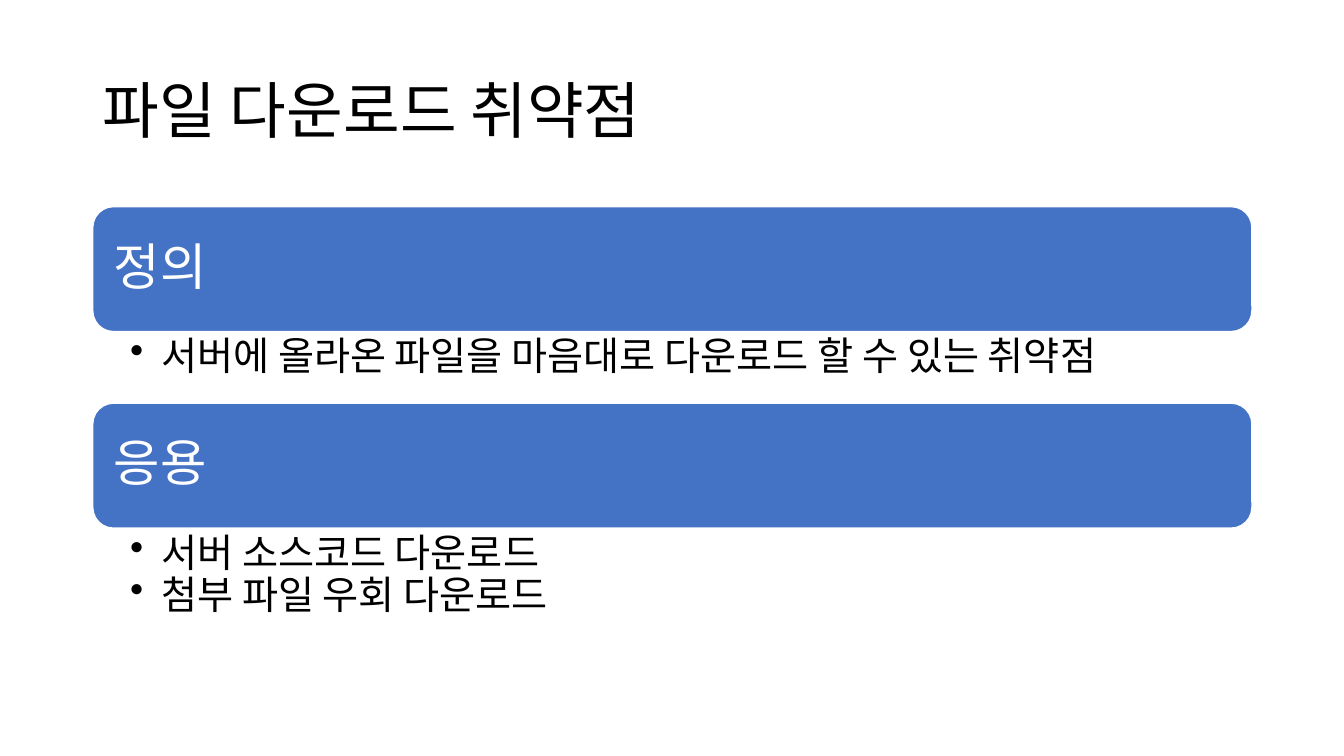
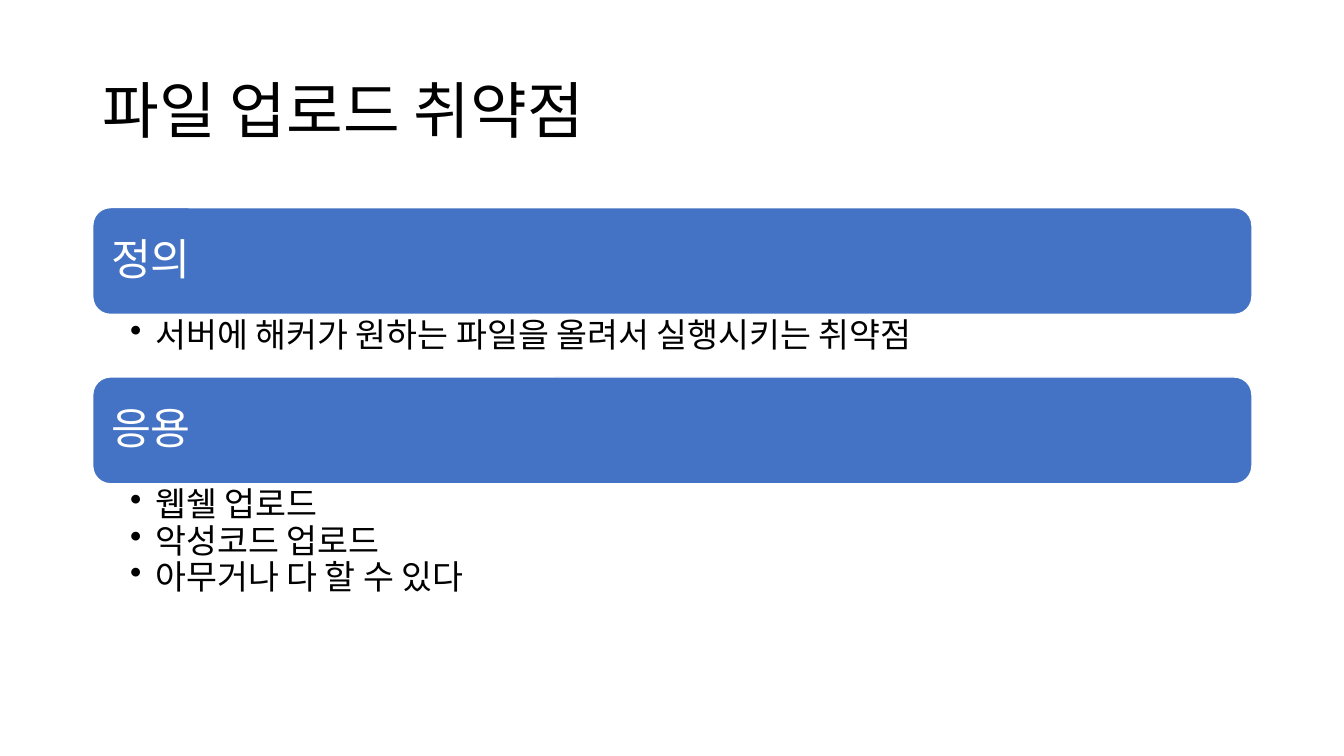
"""Build two slides on file download and file upload vulnerabilities."""
from dataclasses import dataclass

from lxml.etree import SubElement
from pptx import Presentation
from pptx.dml.color import RGBColor as RGB
from pptx.enum.shapes import MSO_SHAPE as SHAPE
from pptx.enum.text import MSO_ANCHOR as ANCHOR, MSO_AUTO_SIZE as FIT, PP_ALIGN as ALIGN
from pptx.oxml.ns import qn
from pptx.util import Inches, Pt


@dataclass(frozen=True)
class Theme:
    font: str = "Noto Sans CJK KR"
    ink: RGB = RGB(0x00, 0x00, 0x00)
    paper: RGB = RGB(0xFF, 0xFF, 0xFF)
    accent: RGB = RGB(0x44, 0x72, 0xC4)
    title: int = 44
    line_spacing: float = 0.9


@dataclass(frozen=True)
class Scale:
    top: float
    heading: int
    body: int
    bar: float
    pad: float
    list_pad: float
    list_right: float
    indent: float


T = Theme()
W, H = 13.33, 7.5
LEFT, WIDTH = W * 0.069, W * 0.8625
LIST_LEFT = 0.37

SLIDES = [
    ("파일 다운로드 취약점",
     Scale(2.05, 36, 28, 1.24, 0.15, 0.05, 0.28, 0.31),
     [("정의", 0.71, ["서버에 올라온 파일을 마음대로 다운로드 할 수 있는 취약점"]),
      ("응용", 1.47, ["서버 소스코드 다운로드", "첨부 파일 우회 다운로드"])]),
    ("파일 업로드 취약점",
     Scale(2.06, 31, 24, 1.06, 0.13, 0.04, 0.24, 0.25),
     [("정의", 0.62, ["서버에 해커가 원하는 파일을 올려서 실행시키는 취약점"]),
      ("응용", 1.89, ["웹쉘 업로드", "악성코드 업로드", "아무거나 다 할 수 있다"])]),
]


def set_text(tf, lines, size, color, anchor, pads):
    tf.text = "\n".join(lines)
    tf.word_wrap = True
    tf.auto_size = FIT.NONE
    tf.vertical_anchor = anchor
    tf.margin_left, tf.margin_top, tf.margin_right, tf.margin_bottom = map(Inches, pads)
    for p in tf.paragraphs:
        p.alignment = ALIGN.LEFT
        p.line_spacing = T.line_spacing
        p.space_before = p.space_after = Pt(0)
        for r in p.runs:
            r.font.name, r.font.size = T.font, Pt(size)
            r.font.color.rgb = color
            SubElement(r.font._element, qn("a:ea"), typeface=T.font)


def add_bullets(tf, indent):
    for p in tf.paragraphs:
        p.level = 1
        pPr = p._p.get_or_add_pPr()
        pPr.set("marL", str(Inches(indent)))
        pPr.set("indent", str(-Inches(indent)))
        SubElement(pPr, qn("a:buChar"), char="•")


prs = Presentation()
prs.slide_width, prs.slide_height = Inches(W), Inches(H)

for title, scale, sections in SLIDES:
    s = prs.slides.add_slide(prs.slide_layouts[5])
    sp = s.shapes.title
    sp.left, sp.top, sp.width, sp.height = map(Inches, (LEFT, 0.4, WIDTH, 1.45))
    set_text(sp.text_frame, [title], T.title, T.ink, ANCHOR.MIDDLE, (0.1, 0.05, 0.1, 0.05))

    y = scale.top
    for heading, list_height, items in sections:
        bar = s.shapes.add_shape(SHAPE.ROUNDED_RECTANGLE, *map(Inches, (LEFT, y, WIDTH, scale.bar)))
        bar.shadow.inherit = False
        bar.fill.solid()
        bar.fill.fore_color.rgb = T.accent
        bar.line.color.rgb = T.paper
        bar.line.width = Pt(1)
        set_text(bar.text_frame, [heading], scale.heading, T.paper, ANCHOR.MIDDLE, [scale.pad] * 4)
        y += scale.bar

        box = s.shapes.add_textbox(*map(Inches, (LEFT, y, WIDTH, list_height)))
        pads = (LIST_LEFT, scale.list_pad, scale.list_right, scale.list_pad)
        set_text(box.text_frame, items, scale.body, T.ink, ANCHOR.TOP, pads)
        add_bullets(box.text_frame, scale.indent)
        y += list_height

prs.save("out.pptx")
